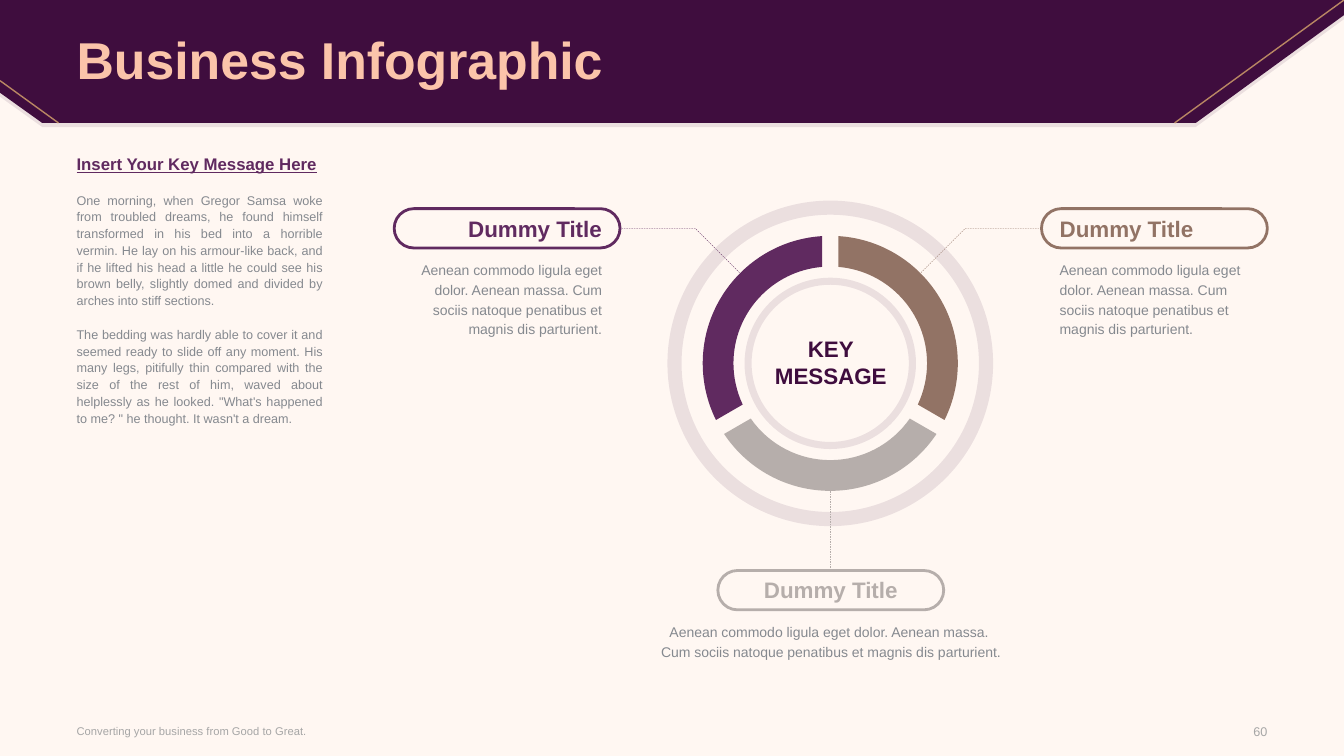
from math import asin, cos, radians, sin, tan

from lxml import etree
from pptx import Presentation
from pptx.dml.color import RGBColor
from pptx.enum.dml import MSO_LINE
from pptx.enum.shapes import MSO_CONNECTOR, MSO_SHAPE as SHAPE
from pptx.enum.text import MSO_ANCHOR as ANCHOR, PP_ALIGN as ALIGN
from pptx.oxml.ns import qn
from pptx.util import Inches, Pt

PLUM, PURPLE, BROWN, TAUPE = "3F0D3E", "602A60", "927365", "B6AEAB"
CREAM, PEACH, GOLD, GREY, PALE = "FFF7F2", "FBC4AA", "B98763", "85898F", "A6A6A6"
LATIN = ("Aenean commodo ligula eget dolor. Aenean massa. ",
         "Cum sociis natoque penatibus et magnis dis parturient.")
STORY = (
    "One morning, when Gregor Samsa woke from troubled dreams, he found himself "
    "transformed in his bed into a horrible vermin. He lay on his armour-like back, "
    "and if he lifted his head a little he could see his brown belly, slightly domed "
    "and divided by arches into stiff sections.",
    "The bedding was hardly able to cover it and seemed ready to slide off any moment. "
    "His many legs, pitifully thin compared with the size of the rest of him, waved "
    "about helplessly as he looked. \"What's happened to me? \" he thought. It wasn't a dream.",
)


def rgb(color):
    """Turn a hex string into a colour."""
    return RGBColor.from_string(color)


def paint(sp, fill=None, line=None, width=1, alpha=None, dash=False):
    """Set the fill, outline and opacity of a shape, without shadow."""
    sp.shadow.inherit = False
    if fill:
        sp.fill.solid()
        sp.fill.fore_color.rgb = rgb(fill)
    else:
        sp.fill.background()
    if alpha:
        clr = sp.element.spPr.find(".//" + qn("a:srgbClr"))
        etree.SubElement(clr, qn("a:alpha"), val=str(alpha * 1000))
    if line:
        stroke(sp, line, width, dash)
    else:
        sp.line.fill.background()


def stroke(sp, color, width, dash=False):
    """Set the line of a shape or connector."""
    sp.line.color.rgb = rgb(color)
    sp.line.width = Pt(width)
    if dash:
        sp.line.dash_style = MSO_LINE.DASH


def outline(s, points, close=True):
    """Build a freeform through points given in inches."""
    pts = [(Inches(x), Inches(y)) for x, y in points]
    fb = s.shapes.build_freeform(*pts[0])
    fb.add_line_segments(pts[1:], close=close)
    return fb.convert_to_shape()


def connect(s, start, end, color, width, dash=False):
    """Draw a straight line between two points."""
    cx = s.shapes.add_connector(MSO_CONNECTOR.STRAIGHT, *map(Inches, start + end))
    stroke(cx, color, width, dash)
    etree.SubElement(cx.element.spPr, qn("a:effectLst"))


def write(sp, lines, size, color, bold=False, align=ALIGN.LEFT, anchor=ANCHOR.TOP,
          spacing=None, gap=0):
    """Fill a shape with evenly formatted paragraphs."""
    tf = sp.text_frame
    tf.word_wrap = True
    tf.vertical_anchor = anchor
    tf.margin_left = tf.margin_right = tf.margin_top = tf.margin_bottom = 0
    for i, line in enumerate(lines):
        p = tf.add_paragraph() if i else tf.paragraphs[0]
        p.text, p.alignment = line, align
        p.font.name, p.font.size, p.font.bold = "Arial", Pt(size), bold
        p.font.color.rgb = rgb(color)
        if spacing:
            p.line_spacing = spacing
        if i and gap:
            p.space_before = Pt(gap)
    return tf


def text_box(s, box, lines, size, color, **style):
    """Add a text box with formatted paragraphs."""
    return write(s.shapes.add_textbox(*map(Inches, box)), lines, size, color, **style)


def header(s, box, title):
    """Draw the banner with its corner lines and place the title on it."""
    x, y, w, h = box
    right = x + w
    for shift, alpha in ((0.04, 10), (0, None)):
        edge = [(11.86, h), (0.42, h), (0, 0.92), (0, 0), (w, 0), (w, 0.15)]
        paint(outline(s, [(x + px, y + py + shift) for px, py in edge]), PLUM, alpha=alpha)
    connect(s, (right, y), (right - 1.68, y + h), GOLD, 1)
    connect(s, (x + 0.58, y + h), (x, y + 0.8), GOLD, 1)
    sp = s.shapes.title
    sp.left, sp.top, sp.width, sp.height = map(Inches, (x + 0.76, y + 0.04, 11.81, 1.17))
    write(sp, [title], 37, PEACH, bold=True, anchor=ANCHOR.MIDDLE, spacing=0.9)
    sp.element.getparent().append(sp.element)


def story(s, box):
    """Write the underlined heading and the justified paragraphs."""
    tf = text_box(s, box, ("Insert Your Key Message Here",) + STORY, 9, GREY,
                  align=ALIGN.JUSTIFY, spacing=Pt(12), gap=12)
    font = tf.paragraphs[0].font
    font.size, font.bold, font.underline = Pt(12), True, True
    font.color.rgb = rgb(PURPLE)


def arc(center, radius, angles):
    """List the Bezier points of an arc through the given angles."""
    def spot(a, reach=0):
        return (center[0] + radius * (cos(a) - reach * sin(a)),
                center[1] + radius * (sin(a) + reach * cos(a)))

    points = [spot(angles[0])]
    for a, b in zip(angles, angles[1:]):
        reach = 4 / 3 * tan((b - a) / 4)
        points += [spot(a, reach), spot(b, -reach), spot(b)]
    return points


def segment(s, center, start, middle, color, inner=0.96, outer=1.265, half_gap=0.08):
    """Draw a third of the ring, with ends parallel to the gaps."""
    points = []
    for radius, order in ((outer, 1), (inner, -1)):
        trim = asin(half_gap / radius)
        angles = [radians(start) + trim, radians(middle), radians(start + 120) - trim]
        points += arc(center, radius, angles[::order])
    sp = outline(s, points)
    lines = list(sp.element.iter(qn("a:lnTo")))
    for first in (0, 3, 7, 10):
        curve = etree.Element(qn("a:cubicBezTo"))
        lines[first].addprevious(curve)
        for line in lines[first:first + 3]:
            curve.append(line[0])
            line.getparent().remove(line)
    paint(sp, color)


def ring(s, box):
    """Draw the circles, leaders, coloured thirds and central message."""
    x, y, w, _ = box
    cx, cy = x + w / 2, y + w / 2
    for radius, band in ((0.85, 0.07), (w / 2, 0.14)):
        sp = s.shapes.add_shape(SHAPE.DONUT, Inches(cx - radius), Inches(cy - radius),
                                Inches(2 * radius), Inches(2 * radius))
        sp.adjustments[0] = band / (2 * radius)
        paint(sp, PLUM, alpha=10)
    for side, color in ((-1, PURPLE), (1, BROWN)):
        leader = [(cx + side * dx, cy - dy)
                  for dx, dy in ((0.9, 0.9), (1.34, 1.34), (2.07, 1.34))]
        paint(outline(s, leader, close=False), line=color, width=0.25, dash=True)
    for start, middle, color in ((30, 90, TAUPE), (150, 180, PURPLE), (270, 360, BROWN)):
        segment(s, (cx, cy), start, middle, color)
    connect(s, (cx, cy + 1.27), (cx, cy + 2.04), TAUPE, 0.25, dash=True)
    text_box(s, (cx - 0.92, cy - 0.28, 1.85, 0.54), ("KEY", "MESSAGE"), 16, PLUM,
             bold=True, align=ALIGN.CENTER)


def callout(s, box, color, align, lines, width):
    """Draw a titled pill and the text below it on the same alignment."""
    x, y, w, h = box
    left = {ALIGN.LEFT: x + 0.18, ALIGN.CENTER: x + (w - width) / 2,
            ALIGN.RIGHT: x + w - 0.18 - width}[align]
    text_box(s, (left, y + h + 0.11, width, 0.2 * 4 / len(lines)), lines, 10, GREY,
             align=align, spacing=Pt(14))
    text_box(s, (x + 0.18, y + 0.06, w - 0.36, 0.27), ["Dummy Title"], 16, color,
             bold=True, align=align)
    sp = s.shapes.add_shape(SHAPE.ROUNDED_RECTANGLE, *map(Inches, box))
    sp.adjustments[0] = 0.5
    paint(sp, line=color, width=2)


def footer(s, box):
    """Write the tagline and the page number."""
    x, y, w, h = box
    text_box(s, (x, y, 5.23, h), ["Converting your business from Good to Great."], 8, PALE,
             anchor=ANCHOR.MIDDLE)
    text_box(s, (x + w - 0.63, y + 0.01, 0.63, h), ["60"], 9, PALE,
             align=ALIGN.RIGHT, anchor=ANCHOR.MIDDLE)


def main():
    """Build the slide and save it."""
    prs = Presentation()
    prs.slide_width, prs.slide_height = Inches(13.33), Inches(7.5)
    s = prs.slides.add_slide(prs.slide_layouts[5])
    s.background.fill.solid()
    s.background.fill.fore_color.rgb = rgb(CREAM)
    header(s, (0, 0, 13.33, 1.22), "Business Infographic")
    story(s, (0.76, 1.56, 2.44, 5.19))
    footer(s, (0.76, 7.12, 11.81, 0.26))
    ring(s, (6.62, 1.99, 3.23, 3.23))
    callout(s, (7.12, 5.66, 2.24, 0.39), TAUPE, ALIGN.CENTER, LATIN, 3.54)
    callout(s, (3.91, 2.07, 2.24, 0.39), PURPLE, ALIGN.RIGHT, ["".join(LATIN)], 1.93)
    callout(s, (10.33, 2.07, 2.24, 0.39), BROWN, ALIGN.LEFT, ["".join(LATIN)], 1.93)
    prs.save("out.pptx")


if __name__ == "__main__":
    main()
